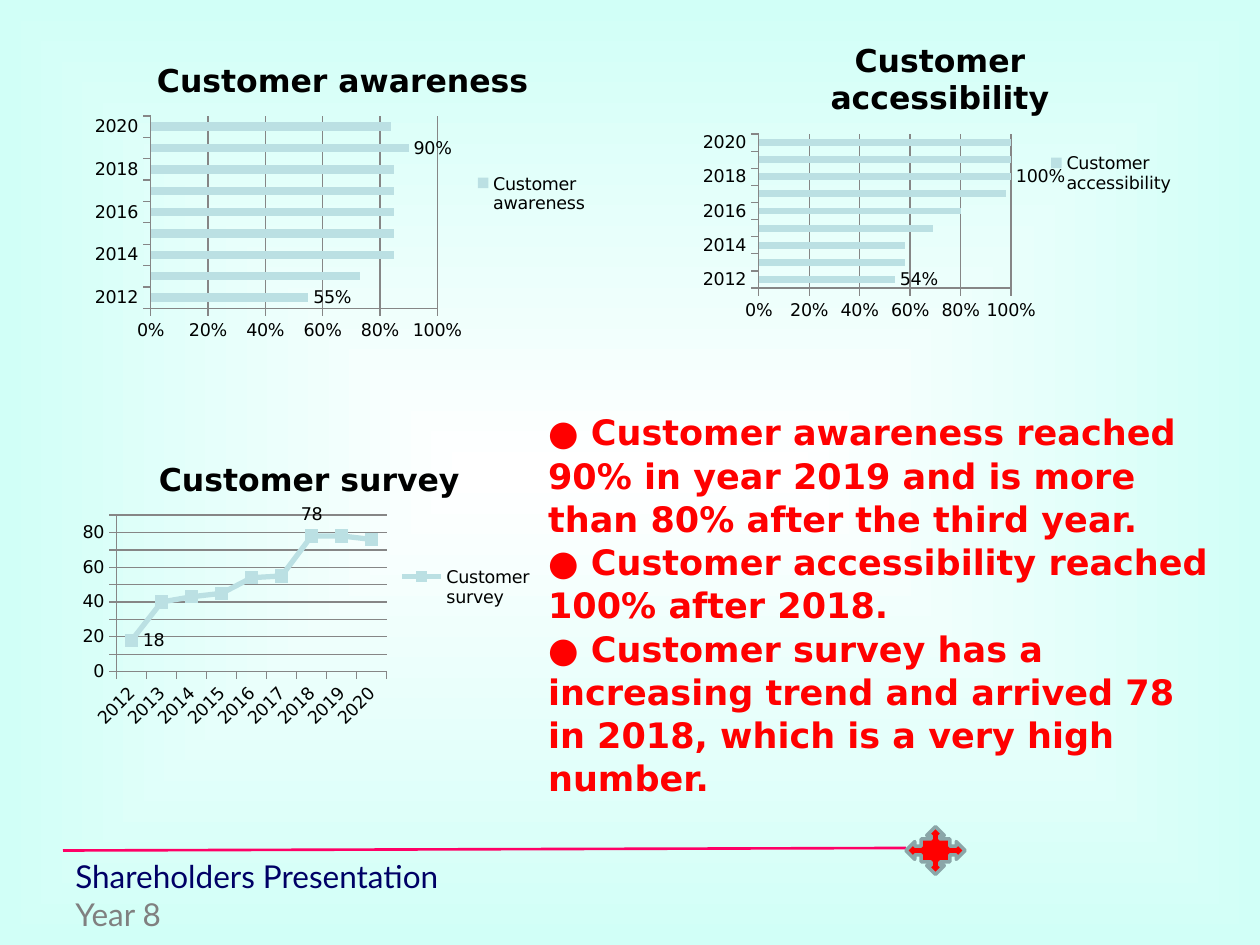
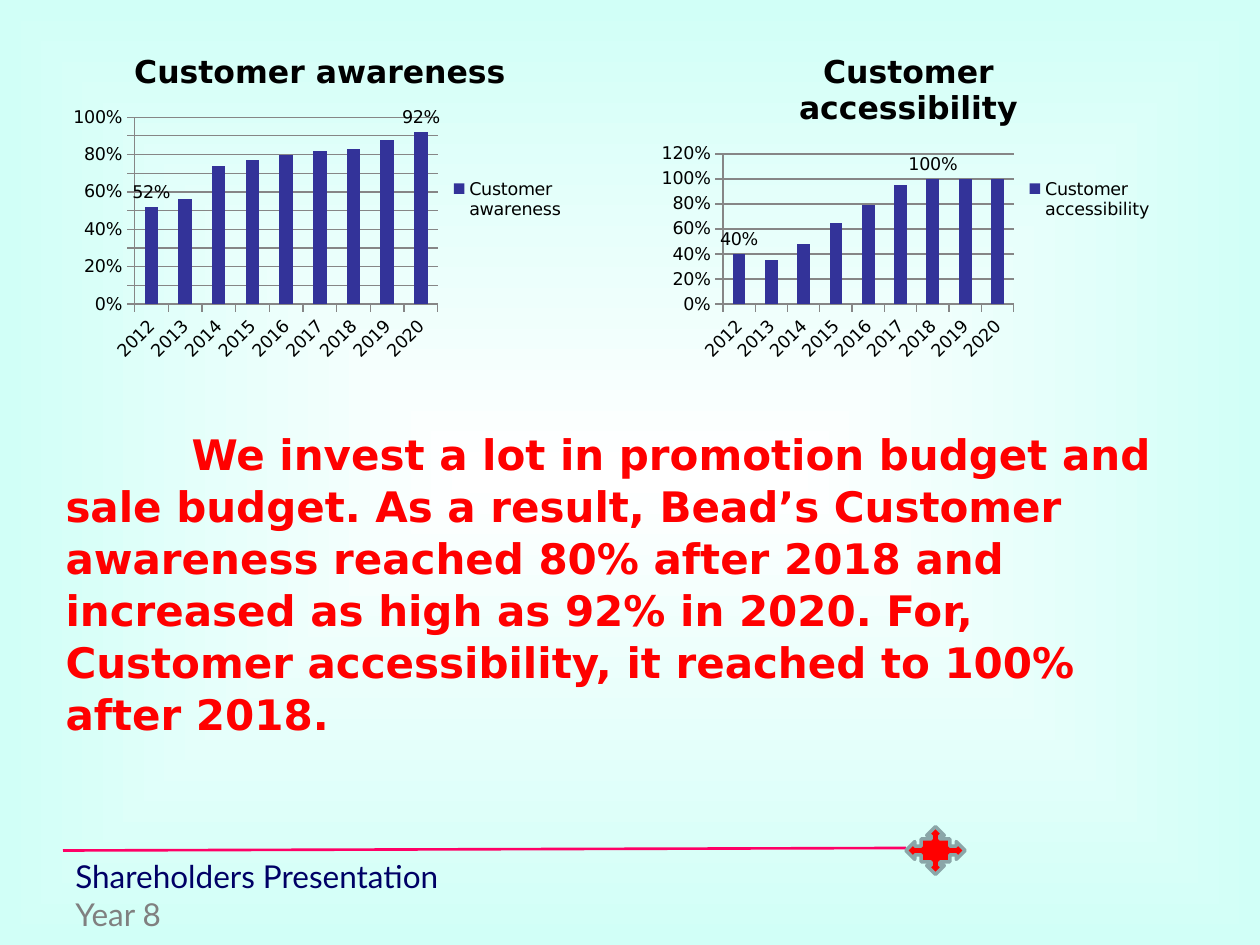
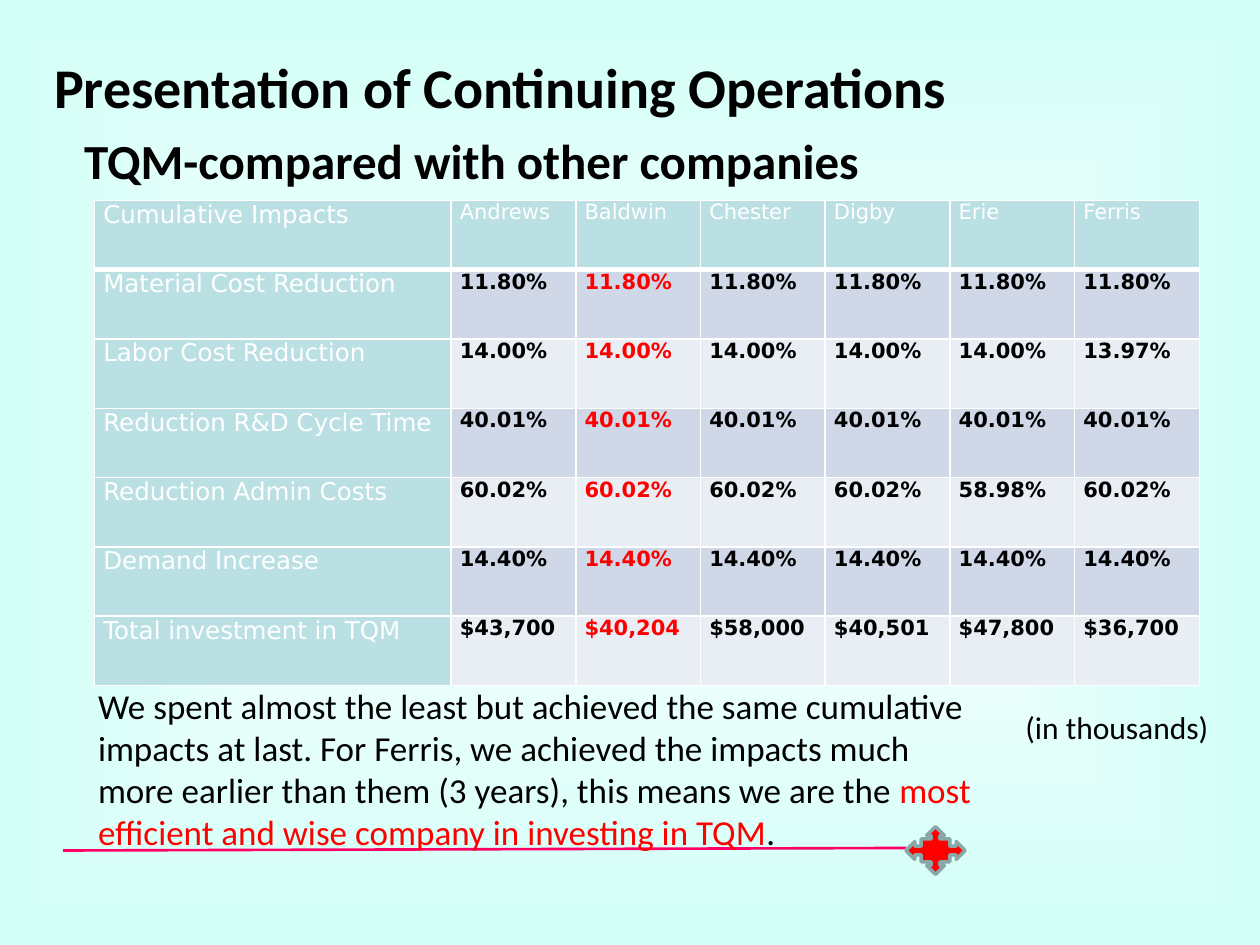
"""Builds three shareholder slides: two of customer charts and one TQM table."""
from dataclasses import dataclass

from lxml import etree
from pptx import Presentation
from pptx import util as u
from pptx.chart.data import CategoryChartData
from pptx.dml.color import RGBColor
from pptx.enum import chart as ch, shapes, text
from pptx.oxml import ns


@dataclass(frozen=True)
class Theme:
    """Colours, fonts and type sizes shared by the slides."""
    white: str = "FFFFFF"
    mint: str = "D1FFF7"
    black: str = "000000"
    red: str = "FF0000"
    navy: str = "000066"
    grey: str = "808080"
    pink: str = "FF0066"
    rim: str = "8AA6A8"
    grid: str = "868686"
    pale: str = "BBE0E3"
    indigo: str = "333399"
    bands: tuple = ("D0D8E8", "E9EDF4")
    chart_font: str = "DejaVu Sans"
    body_font: str = "Calibri"
    footer_font: str = "Lato"
    label: int = 10
    value: int = 12
    row_head: int = 14
    medium: int = 18
    body: int = 20
    large: int = 24
    subtitle: int = 28
    title: int = 32


T = Theme()
BAR = ch.XL_CHART_TYPE.BAR_CLUSTERED
COLUMN = ch.XL_CHART_TYPE.COLUMN_CLUSTERED
LINE = ch.XL_CHART_TYPE.LINE_MARKERS
END = ch.XL_LABEL_POSITION.OUTSIDE_END
RIGHT = ch.XL_LABEL_POSITION.RIGHT
ABOVE = ch.XL_LABEL_POSITION.ABOVE

YEARS = [str(year) for year in range(2012, 2021)]
CHART_SLIDES = [
    {
        "at": (4.25, 3.67, 5.5, 2.58), "size": T.body, "bottom": 0.38, "indent": 0,
        "footer_height": 0.58,
        "message": "\v".join([
            "● Customer awareness reached 90% in year 2019 and is more than 80% after the third year.",
            "● Customer accessibility reached 100% after 2018.",
            "● Customer survey has a increasing trend and arrived 78 in 2018, "
            "which is a very high number.",
        ]),
        "charts": [
            {"name": "Customer awareness", "kind": BAR, "at": (0.67, 0.33, 4.1, 2.42),
             "values": [0.55, 0.73, 0.85, 0.85, 0.85, 0.85, 0.85, 0.9, 0.84],
             "labels": {0: END, 7: END}, "scale": (1, 0.2), "format": "0%", "color": T.pale},
            {"name": "Customer accessibility", "kind": BAR, "at": (5.5, 0.17, 3.92, 2.42),
             "values": [0.54, 0.58, 0.58, 0.69, 0.8, 0.98, 1, 1, 1],
             "labels": {0: END, 6: END}, "scale": (1, 0.2), "format": "0%", "color": T.pale},
            {"name": "Customer survey", "kind": LINE, "at": (0.58, 3.5, 3.75, 2.33),
             "values": [18, 40, 43, 45, 54, 55, 78, 78, 76],
             "labels": {0: RIGHT, 6: ABOVE}, "scale": (90, 10), "format": "General",
             "color": T.pale},
        ],
    },
    {
        "at": (0.42, 4, 9, 1.25), "size": T.large, "bottom": 0.05, "indent": 1,
        "footer_height": 0.42,
        "message": "We invest a lot in promotion budget and sale budget. As a result, Bead’s "
                   "Customer awareness reached 80% after 2018 and increased as high as 92% in "
                   "2020. For, Customer accessibility, it reached to 100% after 2018.",
        "charts": [
            {"name": "Customer awareness", "kind": COLUMN, "at": (0.5, 0.25, 4.08, 2.67),
             "values": [0.52, 0.56, 0.74, 0.77, 0.8, 0.82, 0.83, 0.88, 0.92],
             "labels": {0: END, 8: END}, "scale": (1, 0.1), "format": "0%", "color": T.indigo},
            {"name": "Customer accessibility", "kind": COLUMN, "at": (5.17, 0.25, 4.08, 2.67),
             "values": [0.4, 0.35, 0.48, 0.65, 0.79, 0.95, 1, 1, 1],
             "labels": {0: END, 6: END}, "scale": (1.2, 0.2), "format": "0%",
             "color": T.indigo},
        ],
    },
]
FOOTER = [("Shareholders Presentation", T.navy), ("Year 8", T.grey)]

HEADING = "Presentation of Continuing Operations"
IMPACTS = [
    ("Cumulative Impacts", "Andrews", "Baldwin", "Chester", "Digby", "Erie", "Ferris"),
    ("Material Cost Reduction", *["11.80%"] * 6),
    ("Labor Cost Reduction", *["14.00%"] * 5, "13.97%"),
    ("Reduction R&D Cycle Time", *["40.01%"] * 6),
    ("Reduction Admin Costs", *["60.02%"] * 4, "58.98%", "60.02%"),
    ("Demand Increase", *["14.40%"] * 6),
    ("Total investment in TQM", "$43,700", "$40,204", "$58,000", "$40,501", "$47,800", "$36,700"),
]
OWN_COLUMN = IMPACTS[0].index("Baldwin")
NOTES = [
    {"at": (0.57, 0.99, 6.84, 0.6), "size": T.subtitle, "bold": True, "wrap": True,
     "runs": [("TQM-compared with other companies", T.black)]},
    {"at": (8.04, 5.57, 1.67, 0.4), "size": T.medium, "bold": False, "wrap": False,
     "runs": [("(in thousands)", T.black)]},
    {"at": (0.68, 5.38, 7.24, 1.45), "size": T.body, "bold": False, "wrap": True,
     "runs": [("We spent almost the least but achieved the same cumulative impacts at last. "
               "For Ferris, we achieved the impacts much more earlier than them (3 years), "
               "this means we are the ", T.black),
              ("most efficient and wise company in investing in TQM", T.red),
              (".", T.black)]},
]


def inches(values):
    return [u.Inches(value) for value in values]


def assign(target, **values):
    for name, value in values.items():
        setattr(target, name, value)


def style(font, size, color, name, bold=False):
    assign(font, size=u.Pt(size), name=name, bold=bold)
    font.color.rgb = RGBColor.from_string(color)


def paint(fill, color):
    fill.solid()
    fill.fore_color.rgb = RGBColor.from_string(color)


def stroke(line, color, width):
    line.color.rgb = RGBColor.from_string(color)
    line.width = u.Pt(width)


def set_background(master):
    fill = master.background.fill
    fill.gradient()
    for stop, color in zip(fill.gradient_stops, (T.white, T.mint)):
        stop.color.rgb = RGBColor.from_string(color)
    gradient = master.element.xpath("./p:cSld/p:bg//a:gradFill")[0]
    gradient.remove(gradient.find(ns.qn("a:lin")))
    shape_path = etree.SubElement(gradient, ns.qn("a:path"), path="shape")
    etree.SubElement(shape_path, ns.qn("a:fillToRect"),
                     {side: "50000" for side in "ltrb"})


def add_slide(prs):
    slide = prs.slides.add_slide(prs.slide_layouts[5])
    rule = slide.shapes.add_connector(shapes.MSO_CONNECTOR.STRAIGHT,
                                      *inches((0.5, 6.75, 7.19, 6.73)))
    stroke(rule.line, T.pink, 1.5)
    etree.SubElement(rule.element.spPr, ns.qn("a:effectLst"))
    emblem = slide.shapes.add_shape(shapes.MSO_SHAPE.QUAD_ARROW_CALLOUT,
                                    *inches((7.19, 6.56, 0.47, 0.38)))
    emblem.shadow.inherit = False
    paint(emblem.fill, T.red)
    stroke(emblem.line, T.rim, 2)
    return slide


def set_title(slide, at, wording, size, color, font, indent=0, bottom=0.05, spacing=1.0):
    title = slide.shapes.title
    assign(title, **dict(zip(("left", "top", "width", "height"), inches(at))))
    frame = title.text_frame
    frame.text = wording
    assign(frame, word_wrap=True, auto_size=text.MSO_AUTO_SIZE.NONE,
           vertical_anchor=text.MSO_ANCHOR.MIDDLE, margin_bottom=u.Inches(bottom))
    paragraph = frame.paragraphs[0]
    assign(paragraph, alignment=text.PP_ALIGN.LEFT, line_spacing=spacing)
    paragraph._p.get_or_add_pPr().set("indent", str(u.Inches(indent)))
    for run in paragraph.runs:
        style(run.font, size, color, font, True)


def add_text(slide, at, paragraphs, size, font, bold=False, wrap=True):
    frame = slide.shapes.add_textbox(*inches(at)).text_frame
    frame.word_wrap = wrap
    for index, runs in enumerate(paragraphs):
        paragraph = frame.add_paragraph() if index else frame.paragraphs[0]
        for wording, color in runs:
            run = paragraph.add_run()
            run.text = wording
            style(run.font, size, color, font, bold)


def add_customer_chart(slide, item):
    data = CategoryChartData(number_format=item["format"])
    data.categories = YEARS
    data.add_series(item["name"], item["values"])
    chart = slide.shapes.add_chart(item["kind"], *inches(item["at"]), data).chart
    style(chart.font, T.label, T.black, T.chart_font)
    assign(chart, has_title=True, has_legend=True)
    chart.chart_title.text_frame.text = item["name"]
    style(chart.chart_title.text_frame.paragraphs[0].runs[0].font,
          T.medium, T.black, T.chart_font, True)
    assign(chart.legend, position=ch.XL_LEGEND_POSITION.RIGHT, include_in_layout=False)

    top, step = item["scale"]
    assign(chart.value_axis, minimum_scale=0, maximum_scale=top, major_unit=step,
           has_major_gridlines=True)
    assign(chart.value_axis.tick_labels, number_format=item["format"],
           number_format_is_linked=False)
    stroke(chart.value_axis.major_gridlines.format.line, T.grid, 0.75)
    for axis in (chart.category_axis, chart.value_axis):
        axis.major_tick_mark = ch.XL_TICK_MARK.OUTSIDE
        stroke(axis.format.line, T.grid, 0.75)

    plot = chart.plots[0]
    plot.vary_by_categories = False
    series = plot.series[0]
    if item["kind"] == LINE:
        series.smooth = False
        stroke(series.format.line, item["color"], 3)
        assign(series.marker, style=ch.XL_MARKER_STYLE.SQUARE, size=7)
        paint(series.marker.format.fill, item["color"])
        stroke(series.marker.format.line, item["color"], 0.75)
    else:
        plot.gap_width = 150
        paint(series.format.fill, item["color"])
    series.data_labels.show_value = False
    for index, position in item["labels"].items():
        series.points[index].data_label.position = position


def set_borders(cell, widths):
    properties = cell._tc.get_or_add_tcPr()
    for side, width in widths.items():
        border = etree.SubElement(properties, ns.qn(f"a:ln{side}"), w=str(u.Pt(width)))
        fill = etree.SubElement(border, ns.qn("a:solidFill"))
        etree.SubElement(fill, ns.qn("a:srgbClr"), val=T.white)


def add_impacts(slide):
    table = slide.shapes.add_table(len(IMPACTS), len(IMPACTS[0]),
                                   *inches((0.75, 1.59, 8.75, 3.86))).table
    assign(table, first_row=False, horz_banding=False)
    for index, column in enumerate(table.columns):
        column.width = u.Inches(0.99 if index else 2.83)
    for r, row in enumerate(IMPACTS):
        table.rows[r].height = u.Inches(0.55)
        for c, wording in enumerate(row):
            cell = table.cell(r, c)
            cell.text = wording
            assign(cell, margin_left=u.Inches(0.07), margin_right=u.Inches(0.07),
                   margin_top=0, margin_bottom=0)
            set_borders(cell, {"L": 1, "R": 1, "T": 3 if r == 1 else 1, "B": 1 if r else 3})
            is_value = r > 0 and c > 0
            paint(cell.fill, T.bands[(r - 1) % 2] if is_value else T.pale)
            value_color = T.red if c == OWN_COLUMN else T.black
            style(cell.text_frame.paragraphs[0].runs[0].font, T.value if c else T.row_head,
                  value_color if is_value else T.white, T.chart_font, is_value)


def main():
    prs = Presentation()
    assign(prs, slide_width=u.Inches(10), slide_height=u.Inches(7.5))
    set_background(prs.slide_master)

    for content in CHART_SLIDES:
        slide = add_slide(prs)
        add_text(slide, (0.5, 6.75, 7.5, content["footer_height"]),
                 [[line] for line in FOOTER], T.medium, T.footer_font)
        set_title(slide, content["at"], content["message"], content["size"], T.red,
                  T.chart_font, content["indent"], content["bottom"], 1.03)
        for item in content["charts"]:
            add_customer_chart(slide, item)

    slide = add_slide(prs)
    set_title(slide, (0.33, 0.36, 7.74, 0.64), HEADING, T.title, T.black, T.body_font)
    add_impacts(slide)
    for note in NOTES:
        add_text(slide, note["at"], [note["runs"]], note["size"], T.body_font,
                 note["bold"], note["wrap"])
    prs.save("out.pptx")


if __name__ == "__main__":
    main()
